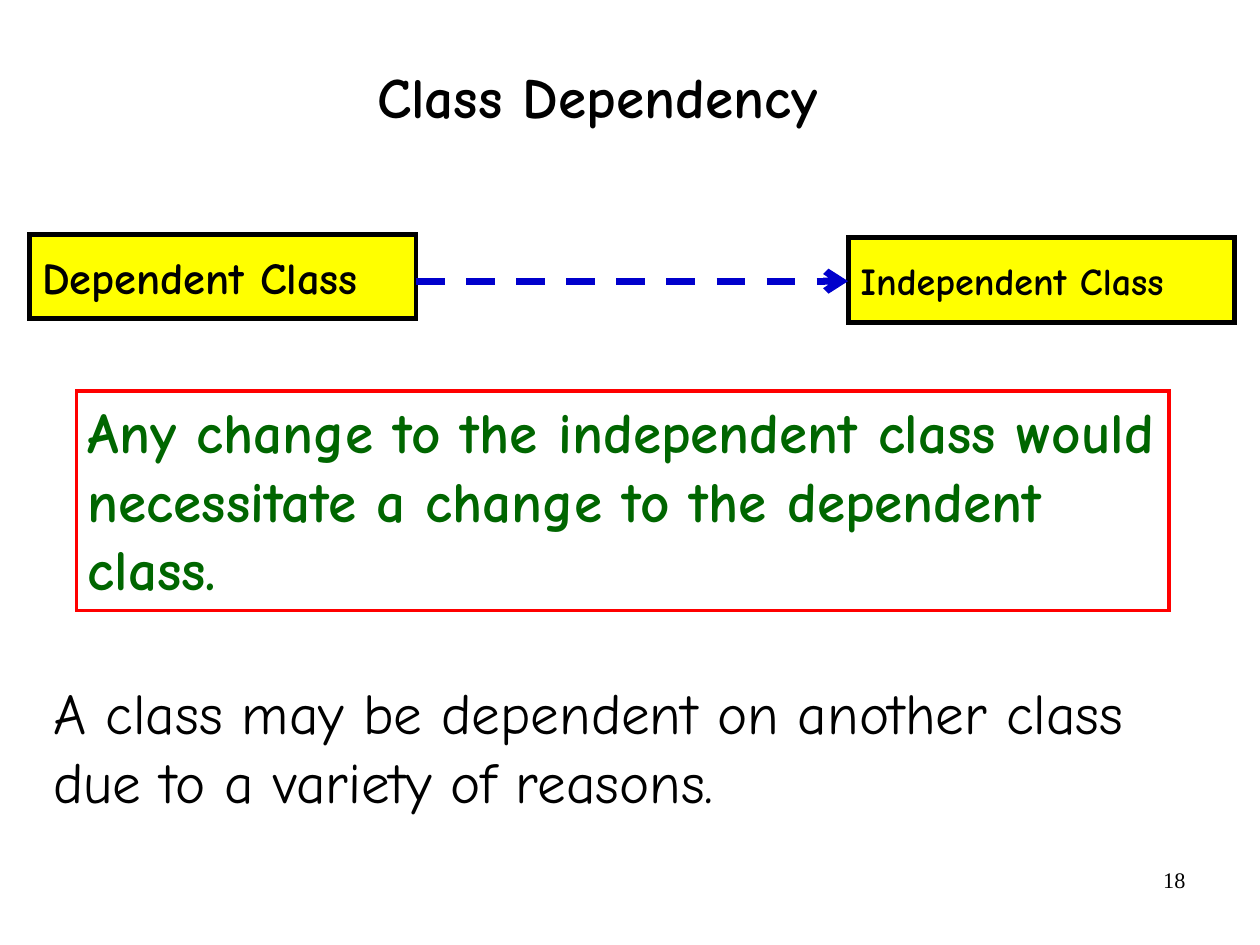
from dataclasses import dataclass

from lxml.etree import SubElement
from pptx import Presentation
from pptx.dml.color import RGBColor
from pptx.enum.dml import MSO_LINE
from pptx.enum.shapes import MSO_CONNECTOR, MSO_SHAPE
from pptx.enum.text import MSO_ANCHOR, MSO_AUTO_SIZE, PP_ALIGN
from pptx.oxml.ns import qn
from pptx.slide import Slide
from pptx.text.text import TextFrame
from pptx.util import Inches, Pt

FONT = "Comic Neue"
BLACK = "000000"
YELLOW = "FFFF00"
RED = "FF0000"
GREEN = "006600"
BLUE = "0000CC"
CM = 1 / 2.54


@dataclass
class Box:
    left: float
    top: float
    width: float
    height: float
    text: str
    size: float = 36
    color: str = BLACK
    bold: bool = False
    font: str = FONT
    align: PP_ALIGN = PP_ALIGN.LEFT
    anchor: MSO_ANCHOR = MSO_ANCHOR.TOP
    inset: float = 0.1
    fill: str = ""
    line: str = ""
    weight: float = 0


def rgb(color: str) -> RGBColor:
    return RGBColor.from_string(color)


def write(frame: TextFrame, box: Box) -> None:
    frame.text = box.text
    frame.word_wrap = True
    frame.auto_size = MSO_AUTO_SIZE.NONE
    frame.vertical_anchor = box.anchor
    frame.margin_left = frame.margin_right = Inches(box.inset)
    para = frame.paragraphs[0]
    para.alignment = box.align
    font = para.runs[0].font
    font.name = box.font
    font.size = Pt(box.size)
    font.bold = box.bold
    font.color.rgb = rgb(box.color)


def draw(slide: Slide, box: Box) -> None:
    """Add a framed rectangle, or a plain text box if it has no line."""
    place = [Inches(n) for n in (box.left, box.top, box.width, box.height)]
    if box.line:
        shape = slide.shapes.add_shape(MSO_SHAPE.RECTANGLE, *place)
        shape.shadow.inherit = False
        shape.line.color.rgb = rgb(box.line)
        shape.line.width = Pt(box.weight)
        SubElement(shape.line._get_or_add_ln(), qn("a:miter"), lim="800000")
        if box.fill:
            shape.fill.solid()
            shape.fill.fore_color.rgb = rgb(box.fill)
        else:
            shape.fill.background()
    else:
        shape = slide.shapes.add_textbox(*place)
    write(shape.text_frame, box)


def class_box(left: float, top: float, text: str, size: float) -> Box:
    return Box(left, top, 3.38, 0.74, text, size, bold=True, inset=0.11,
               anchor=MSO_ANCHOR.MIDDLE, fill=YELLOW, line=BLACK, weight=3)


def draw_title(slide: Slide, box: Box) -> None:
    title = slide.shapes.title
    title.left, title.top = Inches(box.left), Inches(box.top)
    title.width, title.height = Inches(box.width), Inches(box.height)
    write(title.text_frame, box)
    title.text_frame.paragraphs[0].line_spacing = 0.94


def draw_arrow(slide: Slide, start: Box, end: Box, y: float) -> None:
    arrow = slide.shapes.add_connector(
        MSO_CONNECTOR.STRAIGHT, Inches(start.left + start.width), Inches(y),
        Inches(end.left), Inches(y))
    arrow.line.color.rgb = rgb(BLUE)
    arrow.line.width = Pt(4.5)
    arrow.line.dash_style = MSO_LINE.DASH
    edge = arrow.line._get_or_add_ln()
    SubElement(edge, qn("a:miter"), lim="800000")
    SubElement(edge, qn("a:tailEnd"), type="arrow", w="med", len="med")
    SubElement(arrow._element.spPr, qn("a:effectLst"))


def main() -> None:
    deck = Presentation()
    deck.slide_width = Inches(28 * CM)
    deck.slide_height = Inches(21 * CM)
    slide = deck.slides.add_slide(deck.slide_layouts[5])

    draw_title(slide, Box(0.46, 0.18, 9.53, 1.37, "Class Dependency", bold=True,
                          align=PP_ALIGN.CENTER, anchor=MSO_ANCHOR.MIDDLE,
                          inset=0.02))
    user = class_box(0.26, 2.05, "Dependent Class", 28)
    base = class_box(7.42, 2.08, "Independent Class", 24)
    reason = Box(0.37, 5.88, 10.43, 1.31,
                 "A class may be dependent on another class due to a variety of reasons.")
    rule = Box(0.67, 3.42, 9.56, 1.92,
               "Any change to the independent class would necessitate "
               "a change to the dependent class.",
               color=GREEN, bold=True, line=RED, weight=2.25)
    number = Box(7.9, 7.53, 2.57, 0.57, "18", 14, font="Times New Roman",
                 align=PP_ALIGN.RIGHT)
    for box in (user, base, reason, rule, number):
        draw(slide, box)
    draw_arrow(slide, user, base, 2.46)

    deck.save("out.pptx")


if __name__ == "__main__":
    main()
